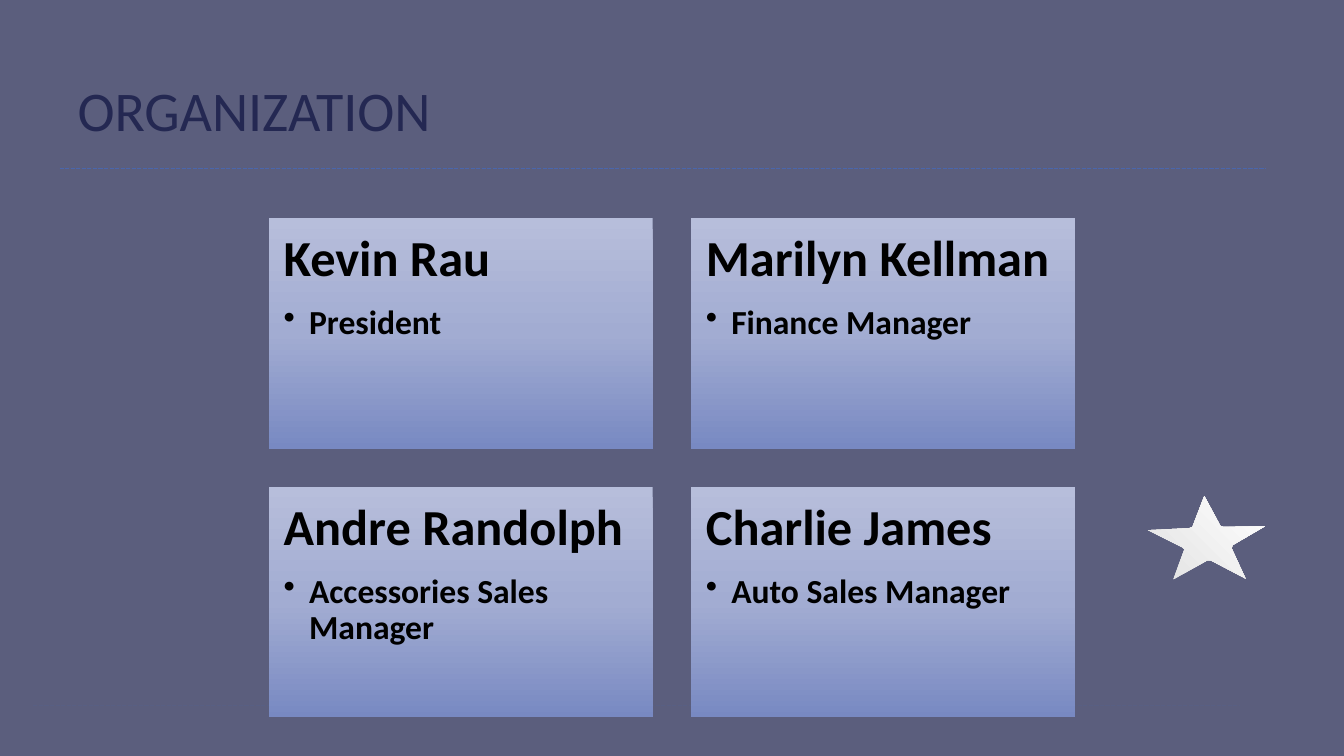
"""Build the organization slide: a title, two rules, a star and four people cards."""
from copy import deepcopy
from dataclasses import dataclass

from lxml import etree
from pptx import Presentation
from pptx.dml.color import RGBColor
from pptx.enum.dml import MSO_LINE_DASH_STYLE as Dash
from pptx.enum.shapes import MSO_CONNECTOR as Connector, MSO_SHAPE as Shape
from pptx.enum.text import MSO_ANCHOR as Anchor, MSO_AUTO_SIZE as AutoSize, PP_ALIGN as Align
from pptx.oxml.ns import qn
from pptx.util import Cm, Pt


@dataclass(frozen=True)
class Theme:
    font: str = "Calibri"
    background: str = "5B5E7D"
    title: str = "242852"
    text: str = "000000"
    rule: str = "4A66AC"
    faint_rule: str = "585F83"
    card: tuple = ("B7BEDB", "A2ACD2", "7889C2")
    star: tuple = ("E2E2E2", "FFFFFF")
    title_size: int = 40
    name_size: int = 36
    role_size: int = 24


theme = Theme()


def fill_gradient(shape, colors, angle):
    shape.shadow.inherit = False
    shape.line.fill.background()
    shape.fill.gradient()
    shape.fill.gradient_angle = angle
    stop_list = shape._element.spPr.find(".//" + qn("a:gsLst"))
    while len(stop_list) < len(colors):
        stop_list.insert(1, deepcopy(stop_list[0]))
    for index, stop in enumerate(shape.fill.gradient_stops):
        stop.position = index / (len(colors) - 1)
        stop.color.rgb = RGBColor.from_string(colors[index])


def add_run(paragraph, text, size, color, bold):
    run = paragraph.add_run()
    run.text = text
    run.font.name = theme.font
    run.font.size = Pt(size)
    run.font.bold = bold
    run.font.color.rgb = RGBColor.from_string(color)


presentation = Presentation()
presentation.slide_width, presentation.slide_height = Cm(33.87), Cm(19.05)
slide = presentation.slides.add_slide(presentation.slide_layouts[5])
slide.background.fill.solid()
slide.background.fill.fore_color.rgb = RGBColor.from_string(theme.background)

star_points = [
    (3106, 1374), (3188, 1326), (3084, 1328), (3076, 1326), (3035, 1250),
    (3005, 1328), (2997, 1331), (2893, 1336), (2979, 1379), (2985, 1384),
    (2957, 1460), (3043, 1412), (3051, 1412), (3139, 1458), (3104, 1382),
]
star_builder = slide.shapes.build_freeform(*star_points[0], scale=Cm(0.01))
star_builder.add_line_segments(star_points[1:], close=True)
fill_gradient(star_builder.convert_to_shape(), theme.star, 45)

for left, top, color in [(1.5, 4.24, theme.rule), (0.84, 17.78, theme.faint_rule)]:
    rule = slide.shapes.add_connector(
        Connector.STRAIGHT, Cm(left), Cm(top), Cm(left + 30.38), Cm(top))
    rule.line.color.rgb = RGBColor.from_string(color)
    rule.line.width = Pt(1)
    rule.line.dash_style = Dash.SQUARE_DOT
    etree.SubElement(rule._element.spPr, qn("a:effectLst"))

title = slide.shapes.title
title.left, title.top, title.width, title.height = Cm(1.7), Cm(0.79), Cm(30.48), Cm(4.19)
title.text_frame.vertical_anchor = Anchor.MIDDLE
title.text_frame.auto_size = AutoSize.NONE
title_paragraph = title.text_frame.paragraphs[0]
title_paragraph.alignment = Align.LEFT
title_paragraph.line_spacing = 0.85
add_run(title_paragraph, "ORGANIZATION", theme.title_size, theme.title, False)

people = [
    ("Kevin Rau", "President"),
    ("Marilyn Kellman", "Finance Manager"),
    ("Andre Randolph", "Accessories Sales Manager"),
    ("Charlie James", "Auto Sales Manager"),
]
for index, (name, role) in enumerate(people):
    row, column = divmod(index, 2)
    card = slide.shapes.add_shape(
        Shape.RECTANGLE, Cm(6.77 + column * 10.64), Cm(5.5 + row * 6.77), Cm(9.68), Cm(5.81))
    fill_gradient(card, theme.card, 270)
    frame = card.text_frame
    frame.word_wrap = True
    frame.vertical_anchor = Anchor.TOP
    frame.margin_left = frame.margin_right = frame.margin_top = frame.margin_bottom = Cm(0.38)

    name_paragraph = frame.paragraphs[0]
    name_paragraph.space_after = Pt(12.6)
    add_run(name_paragraph, name, theme.name_size, theme.text, True)

    role_paragraph = frame.add_paragraph()
    role_paragraph.level = 1
    properties = role_paragraph._p.get_or_add_pPr()
    properties.set("marL", str(Cm(0.64)))
    properties.set("indent", str(-Cm(0.64)))
    etree.SubElement(properties, qn("a:buChar"), char="•")
    add_run(role_paragraph, role, theme.role_size, theme.text, True)

    for paragraph in frame.paragraphs:
        paragraph.alignment = Align.LEFT
        paragraph.line_spacing = 0.9

presentation.save("out.pptx")
